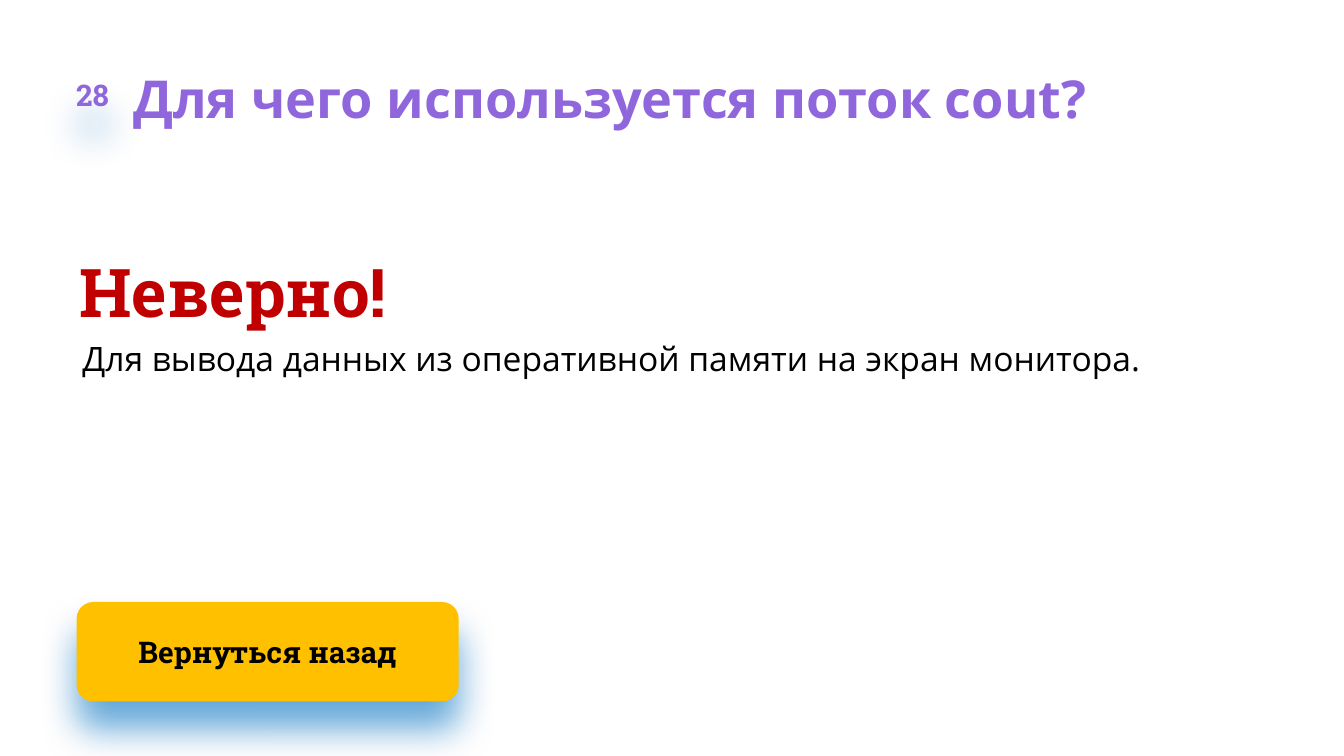
import pptx
import pptx.dml.color
import pptx.enum.shapes
import pptx.enum.text
import pptx.oxml
import pptx.oxml.ns
import pptx.util

Cm = pptx.util.Cm
Pt = pptx.util.Pt
RGBColor = pptx.dml.color.RGBColor
ALIGN = pptx.enum.text.PP_ALIGN
ANCHOR = pptx.enum.text.MSO_ANCHOR
AUTO_SIZE = pptx.enum.text.MSO_AUTO_SIZE
ROUNDED = pptx.enum.shapes.MSO_SHAPE.ROUNDED_RECTANGLE

PURPLE = RGBColor(0x90, 0x66, 0xDC)
RED = RGBColor(0xC0, 0x00, 0x00)
AMBER = RGBColor(0xFF, 0xC0, 0x00)
BLACK = RGBColor(0x00, 0x00, 0x00)
BLUE = RGBColor(0x00, 0x70, 0xC0)

SANS = "Open Sans"
SLAB = "Roboto Slab"


def write(shape, text, font, size, color, bold=True, align=ALIGN.LEFT,
          anchor=ANCHOR.TOP, insets=(0, 0, 0, 0), spacing=None,
          auto_size=AUTO_SIZE.SHAPE_TO_FIT_TEXT):
    """Fill a shape with one formatted paragraph; insets are in cm."""
    frame = shape.text_frame
    frame.word_wrap = True
    frame.auto_size = auto_size
    frame.vertical_anchor = anchor
    (frame.margin_left, frame.margin_top,
     frame.margin_right, frame.margin_bottom) = map(Cm, insets)
    paragraph = frame.paragraphs[0]
    paragraph.text = text
    paragraph.alignment = align
    paragraph.line_spacing = spacing
    paragraph.font.name = font
    paragraph.font.size = Pt(size)
    paragraph.font.bold = bold
    paragraph.font.color.rgb = color


def add_soft_shadow(shape):
    """Cast a blurred blue shadow straight down."""
    shape.shadow.inherit = False
    effects = shape._element.spPr.find(pptx.oxml.ns.qn("a:effectLst"))
    effects.append(pptx.oxml.parse_xml(
        f'<a:outerShdw {pptx.oxml.ns.nsdecls("a")} blurRad="{Pt(20)}" '
        f'dist="{Pt(15)}" dir="5400000" algn="t" rotWithShape="0">'
        f'<a:srgbClr val="{BLUE}"><a:alpha val="60000"/></a:srgbClr>'
        '</a:outerShdw>'))


def add_header(slide, left, top, width, height):
    # Question title, to the right of the square number badge
    title = slide.shapes.title
    title.left, title.top = Cm(left + height + 0.02), Cm(top + 0.15)
    title.width, title.height = Cm(width - height - 0.02), Cm(1.2)
    write(title, "Для чего используется поток cout?", SANS, 28, PURPLE,
          spacing=1.06)

    # Question number
    badge = slide.shapes.add_shape(ROUNDED, Cm(left), Cm(top),
                                   Cm(height), Cm(height))
    badge.fill.background()
    badge.line.fill.background()
    add_soft_shadow(badge)
    write(badge, "28", SLAB, 16, PURPLE, align=ALIGN.CENTER,
          anchor=ANCHOR.MIDDLE, auto_size=AUTO_SIZE.NONE)


def add_answer(slide, left, top, width, height):
    # Verdict
    verdict = slide.shapes.add_textbox(Cm(left + 0.3), Cm(top),
                                       Cm(7.1), Cm(1.55))
    write(verdict, "Неверно!", SLAB, 36, RED, spacing=1.06)

    # Explanation, at the foot of the region
    line_height = 0.77
    explanation = slide.shapes.add_textbox(
        Cm(left), Cm(top + height - line_height), Cm(width), Cm(line_height))
    write(explanation,
          "Для вывода данных из оперативной памяти на экран монитора.",
          SANS, 18, BLACK, bold=False, insets=(0.36, 0, 0, 0))


def add_back_button(slide, left, top, width, height):
    button = slide.shapes.add_shape(ROUNDED, Cm(left), Cm(top),
                                    Cm(width), Cm(height))
    button.fill.solid()
    button.fill.fore_color.rgb = AMBER
    button.line.fill.background()
    add_soft_shadow(button)
    write(button, "Вернуться назад", SLAB, 16, BLACK, align=ALIGN.CENTER,
          anchor=ANCHOR.MIDDLE, insets=(1, 0.5, 1, 0.5))


def main():
    deck = pptx.Presentation()
    deck.slide_width, deck.slide_height = Cm(25.4), Cm(14.29)
    slide = deck.slides.add_slide(deck.slide_layouts.get_by_name("Title Only"))
    add_header(slide, 1, 1.04, 23.9, 1.5)
    add_answer(slide, 1.2, 4.65, 20.55, 2.5)
    add_back_button(slide, 1.45, 11.38, 7.22, 1.88)
    deck.save("out.pptx")


if __name__ == "__main__":
    main()
